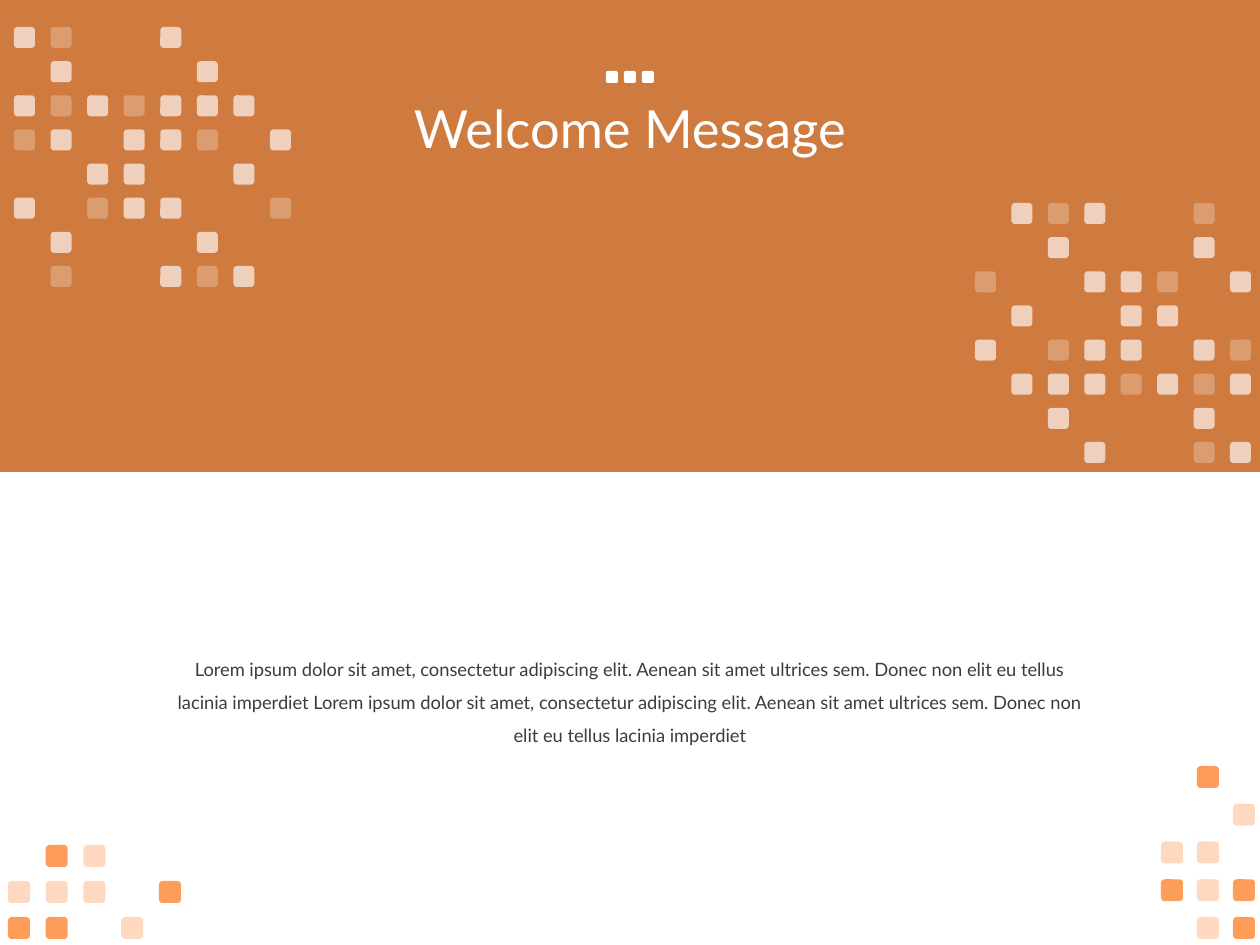
from lxml import etree
from pptx import Presentation
from pptx.dml.color import RGBColor
from pptx.enum.shapes import MSO_SHAPE
from pptx.enum.text import MSO_ANCHOR, MSO_AUTO_SIZE, PP_ALIGN
from pptx.oxml.ns import qn
from pptx.util import Emu, Pt

RECT = MSO_SHAPE.RECTANGLE
ROUND = MSO_SHAPE.ROUNDED_RECTANGLE
MIDDLE = MSO_ANCHOR.MIDDLE
TOP = MSO_ANCHOR.TOP
CENTER = PP_ALIGN.CENTER
GROW = MSO_AUTO_SIZE.SHAPE_TO_FIT_TEXT
FIXED = MSO_AUTO_SIZE.NONE

RUST = RGBColor(0xBF, 0x4F, 0x01)
ORANGE = RGBColor(0xFE, 0x69, 0x02)
WHITE = RGBColor(0xFF, 0xFF, 0xFF)
GREY = RGBColor(0x3C, 0x3C, 0x3C)

FONT = "Lato"
SCALE = 914400 / 126
WIDTH, HEIGHT = 1260, 945

# Tile maps: "#" is a strong tile, "o" a faint one, "." a gap
ALPHA = {"#": 65, "o": 25}
LEFT_TILES = ["#o..#...", ".#...#..", "#o#o###.", "o#.##o.#",
              "..##..#.", "#.o##..o", ".#...#..", ".o..#o#."]
RIGHT_TILES = [".#o#..o.", "..#...#.", "o..##o.#", ".#..##..",
               "#.o##.#o", ".###o#o#", "..#...#.", "...#..o#"]
LEFT_FOOT = [".#o..", "ooo.#", "##.o."]
RIGHT_FOOT = [".#.", "..o", "oo.", "#o#", ".o#"]

BODY = ("Lorem ipsum dolor sit amet, consectetur adipiscing elit. Aenean sit "
        "amet ultrices sem. Donec non elit eu tellus lacinia imperdiet Lorem "
        "ipsum dolor sit amet, consectetur adipiscing elit. Aenean sit amet "
        "ultrices sem. Donec non elit eu tellus lacinia imperdiet")


def px(num):
    return Emu(round(num * SCALE))


def add_box(shapes, kind, x, y, w, h, color, alpha=100):
    box = shapes.add_shape(kind, px(x), px(y), px(w), px(h))
    box.shadow.inherit = False
    box.line.fill.background()
    box.fill.solid()
    box.fill.fore_color.rgb = color
    if alpha < 100:
        tint = box.fill._xPr.find(qn("a:solidFill"))[0]
        etree.SubElement(tint, qn("a:alpha"), val=str(alpha * 1000))


def add_text(slide, text, x, y, w, h, size, color, space,
             anchor=TOP, fit=FIXED):
    box = slide.shapes.add_textbox(px(x), px(y), px(w), px(h))
    frame = box.text_frame
    frame.word_wrap = True
    frame.auto_size = fit
    frame.vertical_anchor = anchor
    para = frame.paragraphs[0]
    para.alignment = CENTER
    para.line_spacing = space
    run = para.add_run()
    run.text = text
    run.font.name = FONT
    run.font.size = Pt(size)
    run.font.color.rgb = color


def add_tiles(slide, rows, x, y, w, h, size, color):
    """Spread a tile map so its first and last tiles start w and h apart."""
    group = slide.shapes.add_group_shape()
    dx, dy = w / (len(rows[0]) - 1), h / (len(rows) - 1)
    for r, row in enumerate(rows):
        for c, mark in enumerate(row):
            if mark in ALPHA:
                add_box(group.shapes, ROUND, x + c * dx, y + r * dy,
                        size, size, color, ALPHA[mark])


def add_dots(slide, x, y, size, step):
    group = slide.shapes.add_group_shape()
    for i in range(3):
        add_box(group.shapes, ROUND, x + i * step, y, size, size, WHITE)


def main():
    deck = Presentation()
    deck.slide_width, deck.slide_height = px(WIDTH), px(HEIGHT)
    slide = deck.slides.add_slide(deck.slide_layouts[6])

    # Banner and text
    add_box(slide.shapes, RECT, 0, 0, WIDTH, HEIGHT // 2, RUST, alpha=75)
    add_text(slide, "Welcome Message", 87, 40, 1086, 183,
             size=30, color=WHITE, space=0.9, anchor=MIDDLE)
    add_text(slide, BODY, 164, 641, 932, 108,
             size=10.5, color=GREY, space=1.5, fit=GROW)
    add_dots(slide, 606, 71, size=12, step=18)

    # Tiles on the banner
    add_tiles(slide, LEFT_TILES, 14, 27, 256, 239, size=21, color=WHITE)
    add_tiles(slide, RIGHT_TILES, 975, 203, 255, 239, size=21, color=WHITE)

    # Tiles in the bottom corners
    add_tiles(slide, LEFT_FOOT, 8, 845, 151, 72, size=22, color=ORANGE)
    add_tiles(slide, RIGHT_FOOT, 1161, 766, 72, 151, size=22, color=ORANGE)

    deck.save("out.pptx")


if __name__ == "__main__":
    main()
